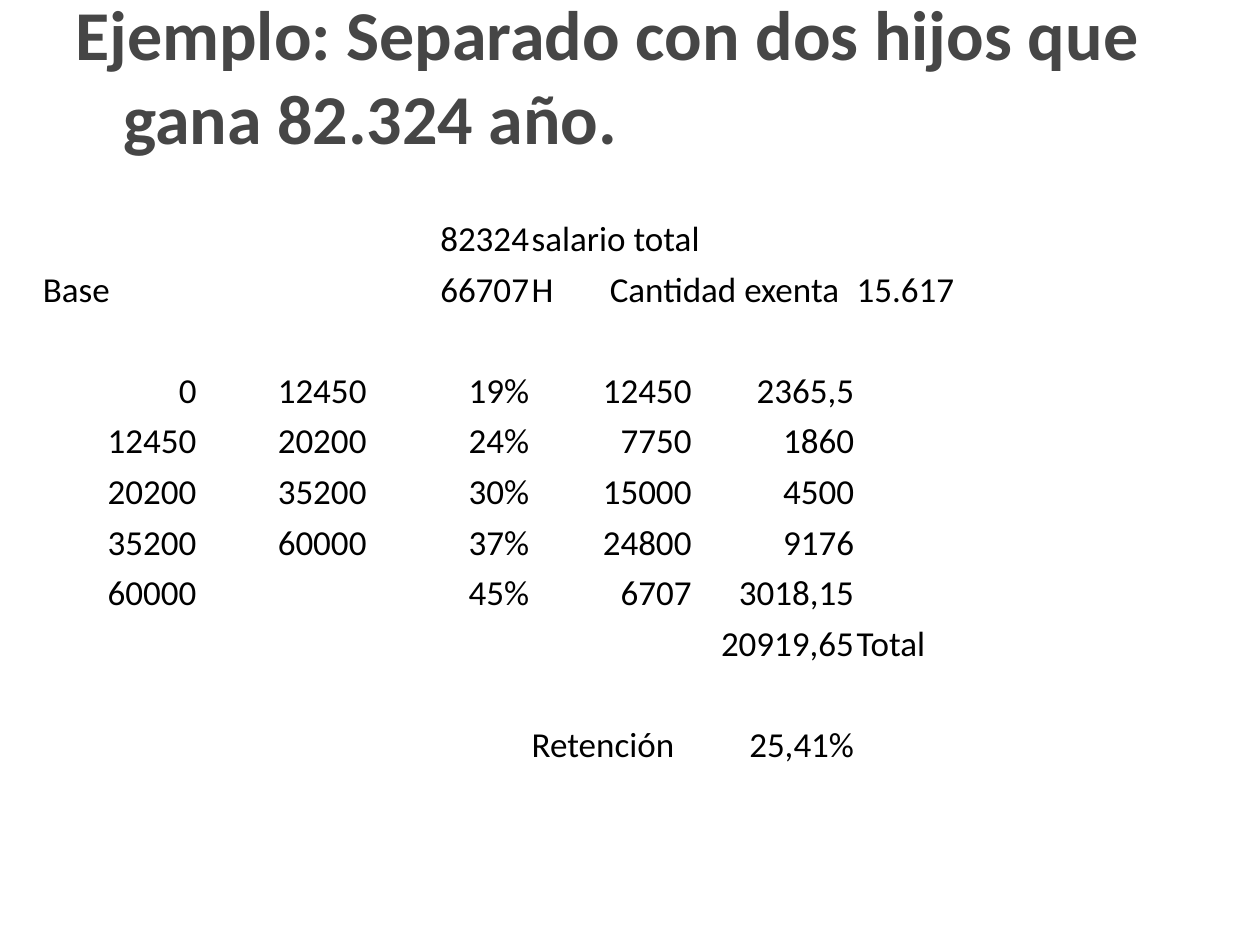
from pptx import Presentation, util as u
from pptx.dml.color import RGBColor
from pptx.enum import text
from pptx.oxml import parse_xml
from pptx.oxml.ns import nsdecls

FONT = "Calibri"
COLUMN_WIDTHS = [1.24, 1.35, 1.29, 1.29, 1.29, 1.29]
BRACKETS = [
    ["0", "12450", "19%", "12450", "2365,5", ""],
    ["12450", "20200", "24%", "7750", "1860", ""],
    ["20200", "35200", "30%", "15000", "4500", ""],
    ["35200", "60000", "37%", "24800", "9176", ""],
    ["60000", "", "45%", "6707", "3018,15", ""],
]
TAX_ROWS = [
    ["", "", "82324", "salario total", "", ""],
    ["Base", "", "66707", "H\tCantidad exenta", "", "15.617"],
    [""] * 6,
    *BRACKETS,
    ["", "", "", "", "20919,65", "Total"],
    [""] * 6,
    ["", "", "", "Retención", "25,41%", ""],
]


def color(value):
    """Turn a hex string into a colour."""
    return RGBColor.from_string(value)


def write(paragraph, words, size=20, fill="000000", bold=False, align=text.PP_ALIGN.LEFT):
    """Write formatted words into a paragraph."""
    paragraph.text = words
    paragraph.alignment = align
    font = paragraph.font
    font.name, font.size, font.bold = FONT, u.Pt(size), bold
    font.color.rgb = color(fill)
    for run in paragraph.runs:
        run.font.name, run.font.size, run.font.bold = FONT, u.Pt(size), bold
        run.font.color.rgb = color(fill)


def add_heading(slide, left, top, width, height):
    """Place the heading with a hanging indent, raised by its bottom inset."""
    frame = slide.shapes.add_textbox(*map(u.Inches, (left, top, width, height))).text_frame
    frame.word_wrap = True
    frame.vertical_anchor = text.MSO_ANCHOR.MIDDLE
    frame.margin_bottom = u.Inches(0.72)
    heading = frame.paragraphs[0]
    write(heading, "Ejemplo: Separado con dos hijos que gana 82.324 año.",
          size=40, fill="464646", bold=True)
    properties = heading._p.get_or_add_pPr()
    properties.set("marL", str(u.Inches(0.38)))
    properties.set("indent", str(u.Inches(-0.38)))


def fill_cell(cell, words, align):
    """Fill one table cell, adding a tab stop where the words need it."""
    cell.fill.background()
    cell.vertical_anchor = text.MSO_ANCHOR.BOTTOM
    cell.margin_left = cell.margin_right = cell.margin_top = u.Inches(0.01)
    cell.margin_bottom = 0
    paragraph = cell.text_frame.paragraphs[0]
    write(paragraph, words, align=align)
    if "\t" in words:
        tabs = f'<a:tabLst {nsdecls("a")}><a:tab pos="{u.Inches(0.62)}" algn="l"/></a:tabLst>'
        paragraph._p.get_or_add_pPr().insert(0, parse_xml(tabs))


def add_tax_table(slide, left, top, width, height):
    """Place the tax calculation, with figures right-aligned before the last column."""
    box = map(u.Inches, (left, top, width, height))
    table = slide.shapes.add_table(len(TAX_ROWS), len(COLUMN_WIDTHS), *box).table
    table.first_row = table.horz_banding = False
    for column, column_width in zip(table.columns, COLUMN_WIDTHS):
        column.width = u.Inches(column_width)
    last = len(COLUMN_WIDTHS) - 1
    for r, row in enumerate(TAX_ROWS):
        for c, words in enumerate(row):
            figure = words[:1].isdigit() and c < last
            align = text.PP_ALIGN.RIGHT if figure else text.PP_ALIGN.LEFT
            fill_cell(table.cell(r, c), words, align)
    for r in (0, 1):
        table.cell(r, 3).merge(table.cell(r, 4))


def main():
    """Build and save the slide."""
    deck = Presentation()
    deck.slide_width, deck.slide_height = u.Inches(10), u.Inches(7.5)
    slide = deck.slides.add_slide(deck.slide_layouts[6])
    add_heading(slide, 0.5, 0.3, 9, 1.25)
    add_tax_table(slide, 0.33, 1.67, 7.75, 4.42)
    deck.save("out.pptx")


if __name__ == "__main__":
    main()
